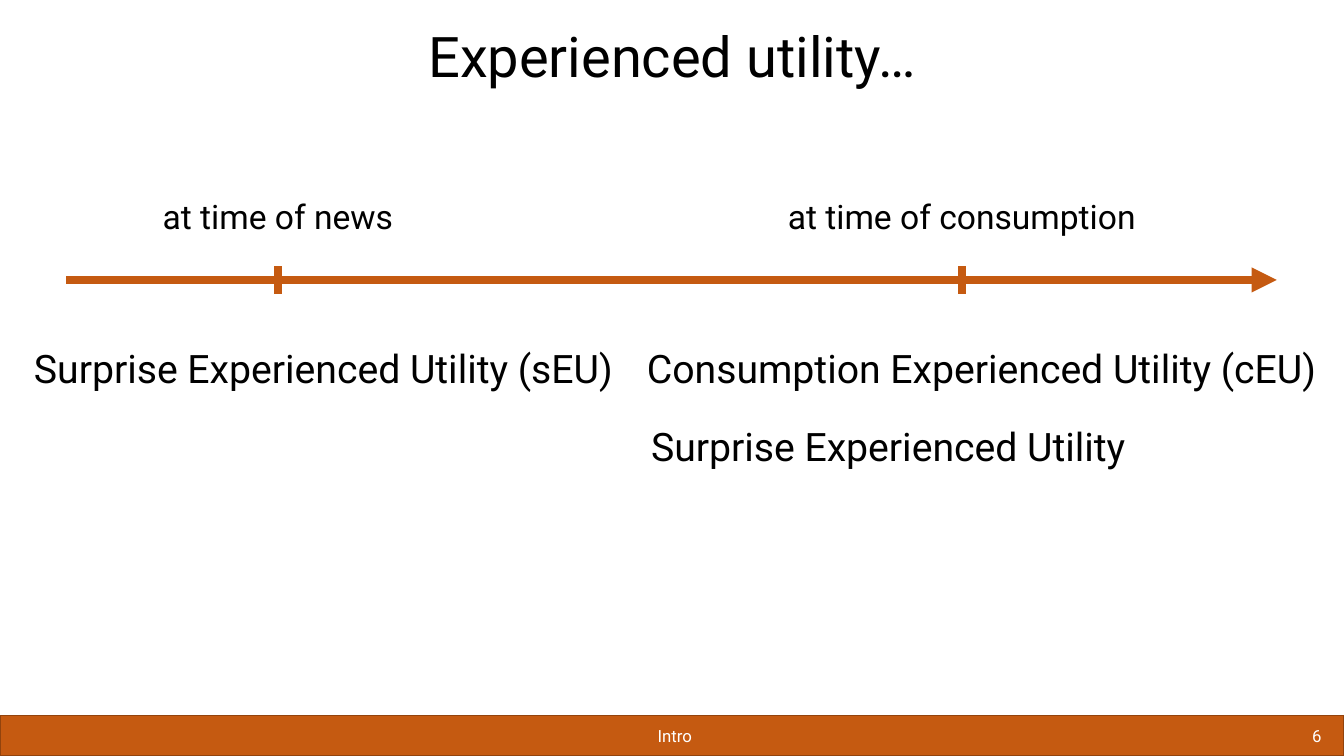
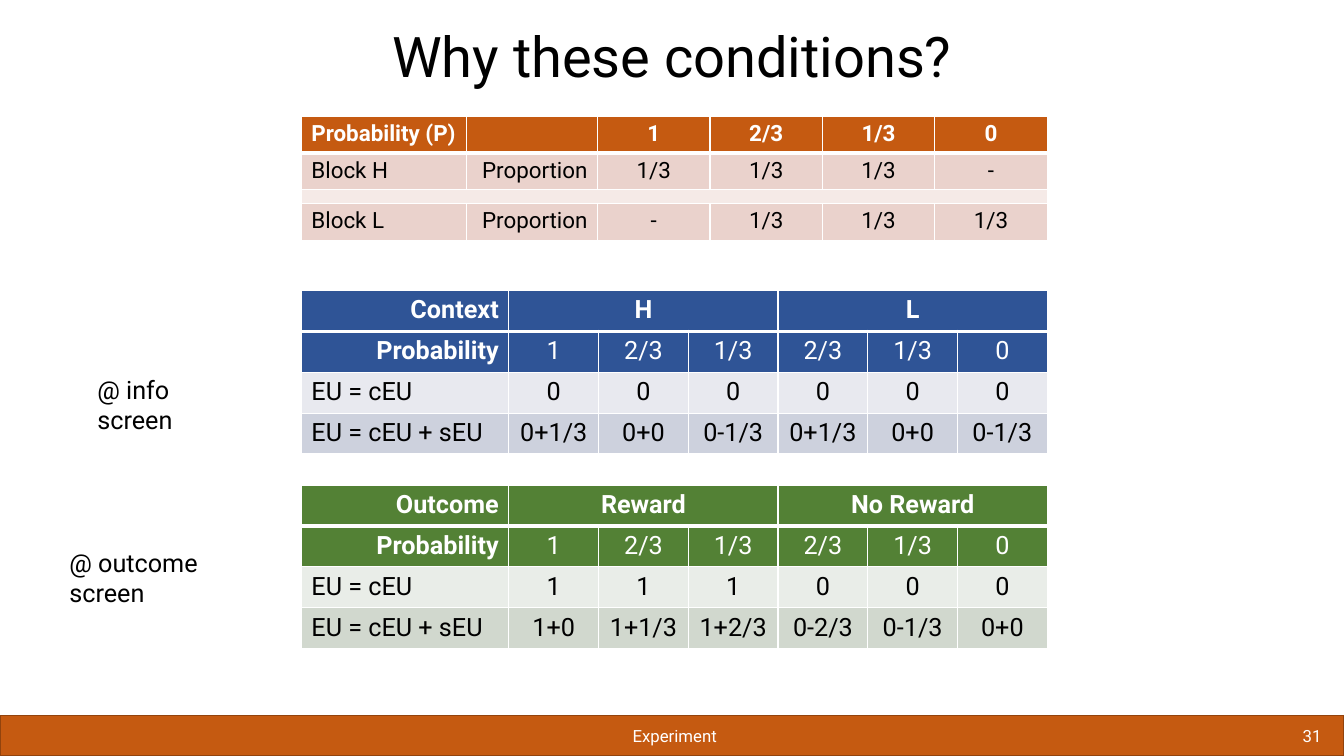
"""Build two slides on experienced utility: a timeline and the experiment's condition tables."""
import lxml.etree
import pptx
import pptx.dml.color
import pptx.enum.shapes
import pptx.enum.text
import pptx.oxml.ns
import pptx.util

Pt = pptx.util.Pt
qn = pptx.oxml.ns.qn
rgb = pptx.dml.color.RGBColor.from_string
ANCHOR = pptx.enum.text.MSO_ANCHOR
ALIGN = {
    "l": pptx.enum.text.PP_ALIGN.LEFT,
    "c": pptx.enum.text.PP_ALIGN.CENTER,
    "r": pptx.enum.text.PP_ALIGN.RIGHT,
}
FONT = "Roboto"
ORANGE, BLACK, WHITE = "C55A11", "000000", "FFFFFF"


def write(p, text, size, color=BLACK, align="l", bold=False):
    p.alignment = ALIGN[align]
    for i, line in enumerate(text.split("\n")):
        if i:
            p.add_line_break()
        r = p.add_run()
        r.text = line
        r.font.name = FONT
        r.font.size = Pt(size)
        r.font.bold = bold
        r.font.color.rgb = rgb(color)


def add_box(s, x, y, w, h, text, size, color=BLACK, align="l", anchor=ANCHOR.TOP, spacing=1.0):
    tf = s.shapes.add_textbox(Pt(x), Pt(y), Pt(w), Pt(h)).text_frame
    tf.word_wrap = True
    tf.vertical_anchor = anchor
    tf.paragraphs[0].line_spacing = spacing
    write(tf.paragraphs[0], text, size, color, align)


prs = pptx.Presentation()
prs.slide_width, prs.slide_height = Pt(960), Pt(540)
layout = prs.slide_layouts[5]
title = layout.placeholders[0]
title.left, title.top, title.width, title.height = Pt(47.5), Pt(16.5), Pt(865), Pt(51)

slides = []
for heading, section, number in [
    ("Experienced utility…", "Intro", "6"),
    ("Why these conditions?", "Experiment", "31"),
]:
    s = prs.slides.add_slide(layout)
    if not slides:
        band = s.shapes.add_shape(pptx.enum.shapes.MSO_SHAPE.RECTANGLE, 0, Pt(511), Pt(960), Pt(29))
        band.shadow.inherit = False
        band.fill.solid()
        band.fill.fore_color.rgb = rgb(ORANGE)
        band.line.color.rgb = rgb("92430D")
        band.line.width = Pt(1)
        layout.shapes.element.insert(2, band.element)
    tf = s.shapes.title.text_frame
    tf.auto_size = pptx.enum.text.MSO_AUTO_SIZE.NONE
    tf.vertical_anchor = ANCHOR.BOTTOM
    tf.paragraphs[0].line_spacing = 0.9
    write(tf.paragraphs[0], heading, 40, align="c")
    add_box(s, 161, 511, 642, 29, section, 12, WHITE, "c", ANCHOR.MIDDLE)
    add_box(s, 803, 511, 148, 29, number, 12, WHITE, "r", ANCHOR.MIDDLE)
    slides.append(s)
timeline, conditions = slides

news, consumption = 198.5, 687
axis = 200
for x1, y1, x2, y2, arrow in [
    (47.5, axis, 912, axis, True),
    (news, axis + 10, news, axis - 10, False),
    (consumption, axis + 10, consumption, axis - 10, False),
]:
    cn = timeline.shapes.add_connector(
        pptx.enum.shapes.MSO_CONNECTOR.STRAIGHT, Pt(x1), Pt(y1), Pt(x2), Pt(y2))
    cn.line.color.rgb = rgb(ORANGE)
    cn.line.width = Pt(6)
    spPr = cn.element.spPr
    if arrow:
        lxml.etree.SubElement(spPr.find(qn("a:ln")), qn("a:tailEnd"), type="triangle")
    lxml.etree.SubElement(spPr, qn("a:effectLst"))

for x, text in [(news, "at time of news"), (consumption, "at time of consumption")]:
    add_box(timeline, x - 140, 136.5, 280, 36, text, 24, align="c")
for x, y, w, text, align in [
    (455, 246, 505, "Consumption Experienced Utility (cEU)", "l"),
    (16.5, 246, 429, "Surprise Experienced Utility (sEU)", "c"),
    (458, 302, 429, "Surprise Experienced Utility", "l"),
]:
    add_box(timeline, x, y, w, 51, text, 28, align=align, spacing=0.9)

eu_widths, eu_heights = [148.2] + [64.1] * 6, [29.2] * 4
eu_aligns = ["rcccccc", "rcccccc", "lcccccc", "lcccccc"]
eu_merges = [(0, 1, 3), (0, 4, 6)]
odds = ["Probability", "1", "2/3", "1/3", "2/3", "1/3", "0"]
tables = [
    (82.8, [118, 93.6] + [80.3] * 4, [26, 26, 9.5, 26], 16, 1,
     [ORANGE, "EAD2CC", "F5EAE7", "EAD2CC"], ["lccccc"] + ["lrcccc"] * 3, [(2, 0, 5)], [
         ["Probability (P)", "", "1", "2/3", "1/3", "0"],
         ["Block H", "Proportion", "1/3", "1/3", "1/3", "-"],
         [""] * 6,
         ["Block L", "Proportion", "-", "1/3", "1/3", "1/3"]]),
    (207.5, eu_widths, eu_heights, 18, 2,
     ["2F5496", "2F5496", "E8E9EF", "CDD1DD"], eu_aligns, eu_merges, [
         ["Context", "H", "", "", "L", "", ""],
         odds,
         ["EU = cEU"] + ["0"] * 6,
         ["EU = cEU + sEU"] + ["0+1/3", "0+0", "0-1/3"] * 2]),
    (346.5, eu_widths, eu_heights, 18, 2,
     ["538135", "538135", "E9EDE8", "D1D8CE"], eu_aligns, eu_merges, [
         ["Outcome", "Reward", "", "", "No Reward", "", ""],
         odds,
         ["EU = cEU"] + ["1"] * 3 + ["0"] * 3,
         ["EU = cEU + sEU", "1+0", "1+1/3", "1+2/3", "0-2/3", "0-1/3", "0+0"]]),
]
for top, widths, heights, size, heads, fills, aligns, merges, rows in tables:
    tbl = conditions.shapes.add_table(
        len(rows), len(widths), Pt(215.3), Pt(top), Pt(sum(widths)), Pt(sum(heights))).table
    for col, w in zip(tbl.columns, widths):
        col.width = Pt(w)
    for i, row in enumerate(rows):
        tbl.rows[i].height = Pt(heights[i])
        for j, text in enumerate(row):
            cell = tbl.cell(i, j)
            cell.fill.solid()
            cell.fill.fore_color.rgb = rgb(fills[i])
            p = cell.text_frame.paragraphs[0]
            if text:
                write(p, text, size, WHITE if i < heads else BLACK, aligns[i][j],
                      i == 0 or (i < heads and j == 0))
            else:
                lxml.etree.SubElement(p._p, qn("a:endParaRPr"), sz="100")
            tcPr = cell._tc.get_or_add_tcPr()
            for k, side in enumerate("LRTB"):
                thick = (i, side) in [(0, "B"), (1, "T")]
                ln = lxml.etree.Element(qn("a:ln" + side), w=str(Pt(3 if thick else 1)))
                fill = lxml.etree.SubElement(ln, qn("a:solidFill"))
                lxml.etree.SubElement(fill, qn("a:srgbClr"), val=WHITE)
                tcPr.insert(k, ln)
    for i, first, last in merges:
        tbl.cell(i, first).merge(tbl.cell(i, last))

add_box(conditions, 42.5, 387.5, 163, 50, "@ outcome\nscreen", 18)
add_box(conditions, 62.5, 263.5, 122, 50, "@ info\nscreen", 18)

prs.save("out.pptx")
